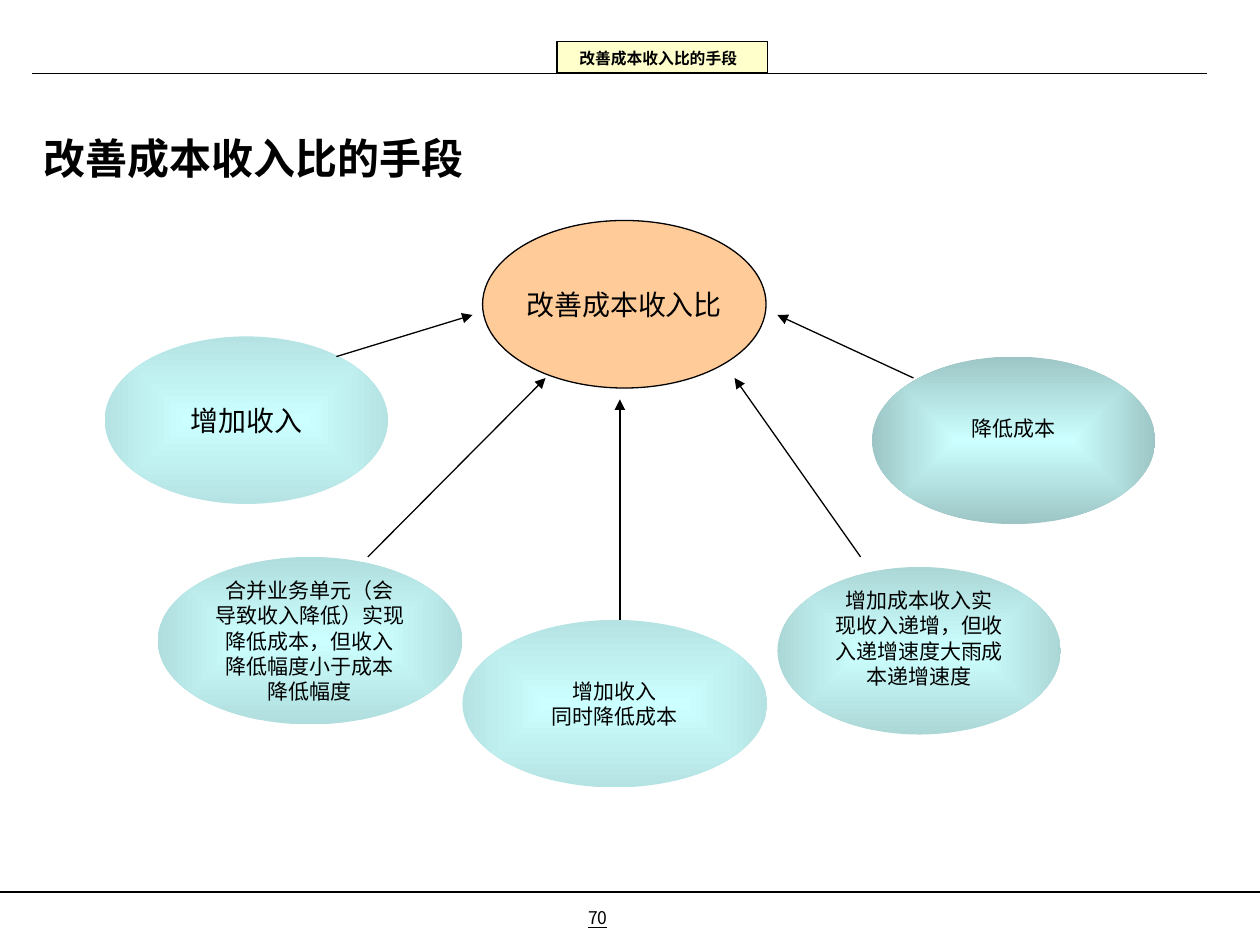
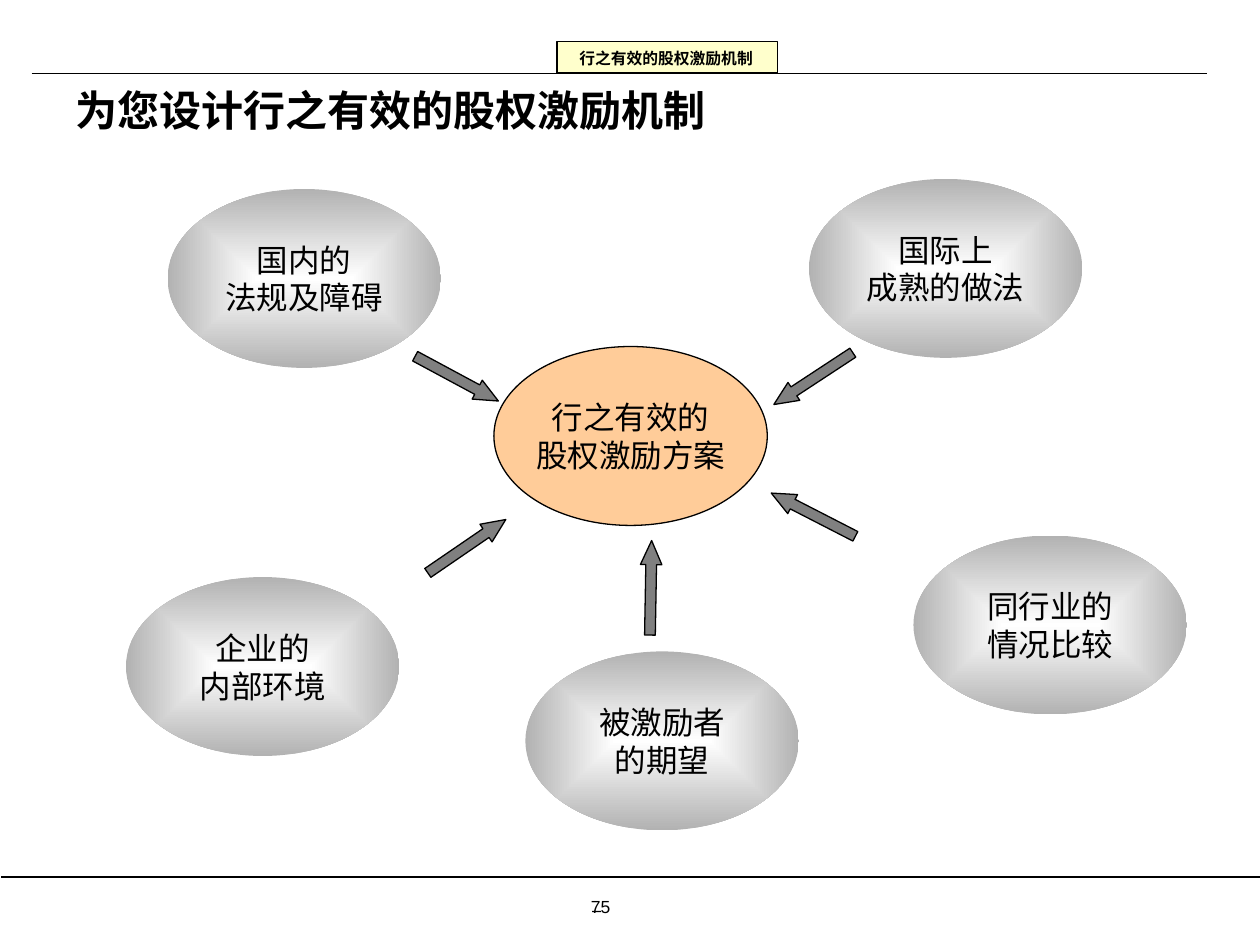
"""Build two hub-and-spoke slides on cost-income ratio and equity incentives."""
from lxml import etree
from pptx import Presentation
from pptx import util as u
from pptx.dml.color import RGBColor
from pptx.enum import shapes, text
from pptx.oxml import parse_xml
from pptx.oxml.ns import nsdecls, qn

COLORS = {
    "ink": "000000", "hub": "FFCC99", "tab": "FFFFCC", "arrow": "808080",
    "aqua": "CCFFFF", "aqua_edge": "B5E3E3", "aqua_mid": "B0DDDD",
    "aqua_dim": "ACD7D7", "aqua_dark": "9DC5C5",
    "white": "FFFFFF", "grey_edge": "B2B2B2",
}
SERIF, SANS, ARIAL = "Times New Roman", "Noto Sans CJK SC", "Arial"

RATIO = {
    "title": ("改善成本收入比的手段", 0.25, 1, 5.67),
    "tab": ("改善成本收入比的手段", 1.67, 1.45),
    "footer": (0, 7.08),
    "hub": (["改善成本收入比"], 3.83, 1.75, 2.25, 1.33, 16),
}
RATIO_MEANS = [
    (["降低成本"], 6.92, 2.83, 2.25, 12, "aqua_dark", 0.25),
    (["增加成本收入实", "现收入递增，但收", "入递增速度大雨成", "本递增速度"],
     6.17, 4.5, 2.25, 12, "aqua_dim", 0.25),
    (["增加收入", "同时降低成本"], 3.67, 4.92, 2.42, 12, "aqua_edge", 0.05),
    (["增加收入"], 0.83, 2.67, 2.25, 16, "aqua_edge", 0.05),
    (["合并业务单元（会", "导致收入降低）实现", "降低成本，但收入", "降低幅度小于成本", "降低幅度"],
     1.25, 4.42, 2.42, 12, "aqua_mid", 0.05),
]
RATIO_ARROWS = [
    (2.67, 2.83, 3.75, 2.5), (2.92, 4.42, 4.33, 3), (4.92, 4.92, 4.92, 3.17),
    (6.83, 4.42, 5.83, 3), (7.25, 3, 6.17, 2.5),
]

EQUITY = {
    "title": ("为您设计行之有效的股权激励机制", 0.5, 0.62, 7.92),
    "tab": ("行之有效的股权激励机制", 1.75, 1.57),
    "footer": (0.01, 6.96),
    "hub": (["行之有效的", "股权激励方案"], 3.92, 2.75, 2.17, 1.42, 18),
}
EQUITY_FACTORS = [
    (["国内的", "法规及障碍"], 1.33, 1.5),
    (["同行业的", "情况比较"], 7.25, 4.25),
    (["被激励者", "的期望"], 4.17, 5.17),
    (["企业的", "内部环境"], 1, 4.58),
    (["国际上", "成熟的做法"], 6.42, 1.42),
]
EQUITY_ARROWS = [
    (3.25, 2.92, 28.3), (4.79, 4.58, 271), (6.08, 4, 207.2),
    (6.08, 2.92, 146.7), (3.33, 4.25, 325.6),
]


def color(name):
    return RGBColor.from_string(COLORS[name])


def write(shape, lines, size, font=SERIF, bold=False, underline=False, align=None,
          insets=(0.1, 0.05, 0.1, 0.05), wrap=False):
    frame = shape.text_frame
    frame.word_wrap = wrap
    frame.margin_left, frame.margin_top, frame.margin_right, frame.margin_bottom = map(u.Inches, insets)
    for index, line in enumerate(lines):
        paragraph = frame.add_paragraph() if index else frame.paragraphs[0]
        paragraph.alignment = align or text.PP_ALIGN.LEFT
        paragraph.line_spacing = u.Pt(size * 1.2)
        run = paragraph.add_run()
        run.text = line
        run.font.name, run.font.size = font, u.Pt(size)
        run.font.bold, run.font.underline = bold, underline
        run.font.color.rgb = color("ink")
        etree.SubElement(run.font._element, qn("a:ea")).set("typeface", SANS)


def add_text(slide, line, box, size, **style):
    write(slide.shapes.add_textbox(*map(u.Inches, box)), [line], size, **style)


def add_block(slide, kind, box, fill, outlined=True):
    shape = slide.shapes.add_shape(kind, *map(u.Inches, box))
    shape.shadow.inherit = False
    shape.fill.solid()
    shape.fill.fore_color.rgb = color(fill)
    if outlined:
        shape.line.color.rgb = color("ink")
        shape.line.width = u.Pt(0.75)
    else:
        shape.line.fill.background()
    return shape


def add_ellipse(slide, lines, box, size, fill, edge=None, bottom=0.05):
    ellipse = add_block(slide, shapes.MSO_SHAPE.OVAL, box, fill, edge is None)
    if edge:
        properties = ellipse._element.spPr
        gradient = parse_xml(
            f'<a:gradFill {nsdecls("a")} rotWithShape="0"><a:gsLst>'
            f'<a:gs pos="0"><a:srgbClr val="{COLORS[fill]}"/></a:gs>'
            f'<a:gs pos="100000"><a:srgbClr val="{COLORS[edge]}"/></a:gs></a:gsLst>'
            '<a:path path="rect"><a:fillToRect l="50000" t="50000" r="50000" b="50000"/>'
            '</a:path></a:gradFill>')
        properties.replace(properties.find(qn("a:solidFill")), gradient)
    ellipse.text_frame.vertical_anchor = text.MSO_ANCHOR.MIDDLE
    write(ellipse, lines, size, align=text.PP_ALIGN.CENTER, insets=(0.1, 0.05, 0.1, bottom))


def add_line(slide, ends, width, arrow=False):
    line = slide.shapes.add_connector(shapes.MSO_CONNECTOR.STRAIGHT, *map(u.Inches, ends))
    line.line.color.rgb = color("ink")
    line.line.width = u.Pt(width)
    if arrow:
        etree.SubElement(line.line._get_or_add_ln(), qn("a:tailEnd")).set("type", "triangle")
    etree.SubElement(line._element.spPr, qn("a:effectLst"))


def add_frame(presentation, content):
    slide = presentation.slides.add_slide(presentation.slide_layouts[6])
    title, left, top, width = content["title"]
    add_text(slide, title, (left, top, width, 0.5), 24, bold=True, wrap=True)
    left, top = content["footer"]
    add_line(slide, (left, top, 10, top), 1)
    label, tab_width, label_width = content["tab"]
    add_block(slide, shapes.MSO_SHAPE.RECTANGLE, (4.42, 0.33, tab_width, 0.25), "tab")
    add_text(slide, label, (4.5, 0.35, label_width, 0.25), 9, bold=True,
             insets=(0.1, 0.04, 0, 0.05))
    add_line(slide, (0.25, 0.58, 9.58, 0.58), 0.25)
    lines, *box, size = content["hub"]
    add_ellipse(slide, lines, box, size, "hub")
    return slide


def build_ratio(presentation):
    slide = add_frame(presentation, RATIO)
    for lines, left, top, width, size, edge, bottom in RATIO_MEANS:
        add_ellipse(slide, lines, (left, top, width, 1.33), size, "aqua", edge, bottom)
    for ends in RATIO_ARROWS:
        add_line(slide, ends, 0.75, arrow=True)
    add_text(slide, "70", (4.57, 7.15, 0.36, 0.27), 10, font=SANS, underline=True)


def build_equity(presentation):
    slide = add_frame(presentation, EQUITY)
    for lines, left, top in EQUITY_FACTORS:
        add_ellipse(slide, lines, (left, top, 2.17, 1.42), 18, "white", "grey_edge")
    for left, top, rotation in EQUITY_ARROWS:
        arrow = add_block(slide, shapes.MSO_SHAPE.RIGHT_ARROW, (left, top, 0.75, 0.17), "arrow")
        arrow.adjustments[0], arrow.adjustments[1] = 0.5, 1.12
        arrow.rotation = rotation
    add_block(slide, shapes.MSO_SHAPE.RECTANGLE, (4.7, 7.23, 0.07, 0.01), "ink", outlined=False)
    add_text(slide, "75", (4.69, 7.11, 0.16, 0.17), 10, font=ARIAL, insets=(0, 0, 0, 0))


def main():
    presentation = Presentation()
    presentation.slide_width, presentation.slide_height = u.Inches(10), u.Inches(7.5)
    build_ratio(presentation)
    build_equity(presentation)
    presentation.save("out.pptx")


if __name__ == "__main__":
    main()
